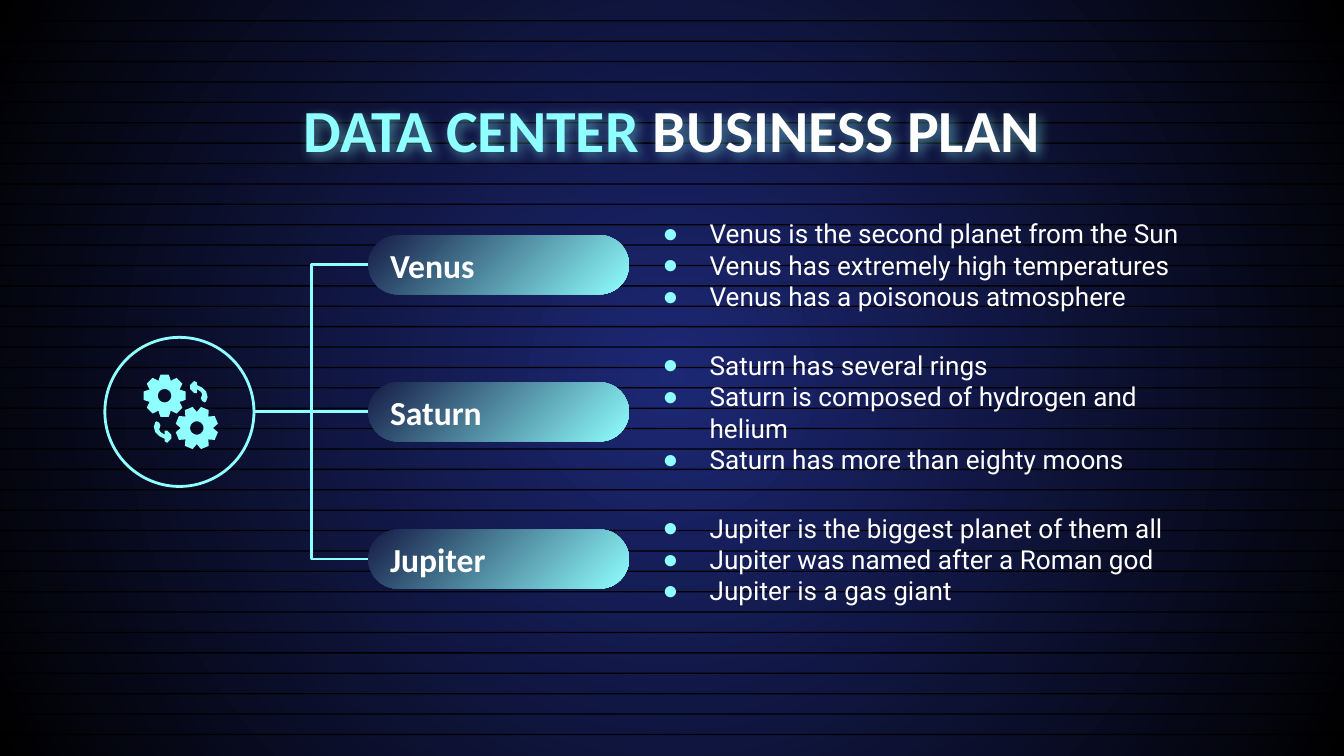
from math import cos, sin, radians
from lxml import etree
from pptx import Presentation, util as u
from pptx.dml.color import RGBColor
from pptx.enum import shapes as sh, text as tx
from pptx.oxml.ns import qn

W = 10
H = W * 9 / 16
AQUA, WHITE, BLACK = "8FFFFF", "FFFFFF", "000000"
INK = dict(name="Roboto", size=14, bold=False, color=WHITE)
HEAD = dict(name="Calibri", size=18, bold=True, color=WHITE)
ROWS = [
    ("Venus", ["Venus is the second planet from the Sun",
               "Venus has extremely high temperatures",
               "Venus has a poisonous atmosphere"]),
    ("Saturn", ["Saturn has several rings",
                "Saturn is composed of hydrogen and helium",
                "Saturn has more than eighty moons"]),
    ("Jupiter", ["Jupiter is the biggest planet of them all",
                 "Jupiter was named after a Roman god",
                 "Jupiter is a gas giant"]),
]
CURL = [(.1, -.23), (.07, -.2), (.07, -.17), (.1, -.14), (.12, -.14),
        (.12, -.17), (.15, -.15), (.16, -.13), (.15, -.1), (.16, -.08),
        (.18, -.07), (.19, -.08), (.2, -.11), (.19, -.15), (.16, -.18),
        (.12, -.2), (.12, -.22)]


def hue(code):
    return RGBColor.from_string(code)


def sub(node, tag, **vals):
    return etree.SubElement(node, qn(tag), {k: str(v) for k, v in vals.items()})


def place(shape, box):
    for key, val in zip(("left", "top", "width", "height"), box):
        setattr(shape, key, u.Inches(val))


def paint(shape, fill=None, line=None):
    shape.shadow.inherit = False
    if fill:
        shape.fill.solid()
        shape.fill.fore_color.rgb = hue(fill)
    else:
        shape.fill.background()
    if line:
        shape.line.color.rgb = hue(line)
        shape.line.width = u.Pt(1.5)
    else:
        shape.line.fill.background()


def blend(fill, codes, angle=0):
    fill.gradient()
    fill.gradient_angle = angle
    for stop, code in zip(fill.gradient_stops, codes):
        stop.color.rgb = hue(code)


def frame(shape, anchor):
    vals = dict(word_wrap=True, auto_size=tx.MSO_AUTO_SIZE.NONE,
                vertical_anchor=anchor)
    for side in ("left", "right", "top", "bottom"):
        vals["margin_" + side] = u.Inches(.1)
    for key, val in vals.items():
        setattr(shape.text_frame, key, val)
    return shape.text_frame


def write(para, words, style):
    run = para.add_run()
    run.text = words
    for key, val in style.items():
        if key == "color":
            run.font.color.rgb = hue(val)
        else:
            setattr(run.font, key, u.Pt(val) if key == "size" else val)


def add(slide, kind, box):
    return slide.shapes.add_shape(kind, *map(u.Inches, box))


def back(slide):
    blend(slide.background.fill, ("1D2875", BLACK))
    lin = slide.element.xpath(".//p:bg//a:lin")[0]
    ring = etree.Element(qn("a:path"), path="circle")
    sub(ring, "a:fillToRect", l=50000, t=50000, r=50000, b=50000)
    lin.getparent().replace(lin, ring)
    for i in range(36):
        bar = add(slide, sh.MSO_SHAPE.RECTANGLE,
                  (0, .15 + i * 5.31 / 35, W, .01))
        paint(bar, BLACK)
        slide.shapes.element.insert(2 + i, bar.element)


def title(shape, box):
    place(shape, box)
    para = frame(shape, tx.MSO_ANCHOR.TOP).paragraphs[0]
    para.alignment = tx.PP_ALIGN.CENTER
    for words, code in (("DATA CENTER ", AQUA), ("BUSINESS PLAN", WHITE)):
        write(para, words, {**HEAD, "size": 32, "color": code})
    glow = sub(sub(shape.element.spPr, "a:effectLst"), "a:outerShdw",
               blurRad=76200, dist=19050, dir=2700000, algn="bl", rotWithShape=0)
    sub(sub(glow, "a:srgbClr", val=AQUA), "a:alpha", val=45000)


def pill(slide, box, words):
    shape = add(slide, sh.MSO_SHAPE.ROUNDED_RECTANGLE, box)
    shape.adjustments[0] = .5
    paint(shape)
    blend(shape.fill, ("151B46", AQUA), 315)
    para = frame(shape, tx.MSO_ANCHOR.MIDDLE).paragraphs[0]
    para.alignment = tx.PP_ALIGN.LEFT
    write(para, words, HEAD)


def facts(shape, box, lines):
    place(shape, box)
    body = frame(shape, tx.MSO_ANCHOR.MIDDLE)
    for i, words in enumerate(lines):
        para = body.add_paragraph() if i else body.paragraphs[0]
        for key, val in dict(space_before=u.Pt(0), line_spacing=1.0,
                             alignment=tx.PP_ALIGN.LEFT).items():
            setattr(para, key, val)
        write(para, words, INK)
        prop = para._p.get_or_add_pPr()
        prop.set("marL", str(u.Inches(.5)))
        prop.set("indent", str(u.Inches(-.35)))
        sub(sub(prop, "a:buClr"), "a:srgbClr", val=AQUA)
        sub(prop, "a:buChar", char="●")


def trace(slide, *loops):
    pen = None
    for loop in loops:
        dots = [(u.Inches(x), u.Inches(y)) for x, y in loop]
        if pen:
            pen.move_to(*dots[0])
        else:
            pen = slide.shapes.build_freeform(*dots[0])
        pen.add_line_segments(dots[1:], close=True)
    paint(pen.convert_to_shape(), AQUA)


def gear(slide, x, y, turn):
    def spot(deg, r):
        return x + r * cos(radians(deg)), y + r * sin(radians(deg))

    tooth = [(-22.5, .12), (-16, .14), (-11, .16), (11, .16), (16, .14)]
    rim = [spot(turn + 45 * i + deg, r) for i in range(8) for deg, r in tooth]
    hole = [spot(-15 * i, .05) for i in range(24)]
    trace(slide, rim, hole)


def icon(slide, box):
    x, y, w, h = box
    paint(add(slide, sh.MSO_SHAPE.OVAL, box), line=AQUA)
    mx, my = x + w / 2 + .01, y + h / 2
    for sign, turn in ((-1, 0), (1, 22.5)):
        gear(slide, mx + sign * .12, my + sign * .12, turn)
        trace(slide, [(mx - sign * px, my - sign * py) for px, py in CURL])


def link(slide, *ends):
    line = slide.shapes.add_connector(sh.MSO_CONNECTOR.ELBOW, *map(u.Inches, ends))
    line.line.color.rgb = hue(AQUA)
    line.line.width = u.Pt(1.5)
    sub(line.element.spPr, "a:effectLst")


def tree(slide, box, slots):
    x, y, w, h = box
    mid, step = y + h / 2, (h - .9) / 2
    disc, left, wide = 1.11, x + 1.96, 1.94
    icon(slide, (x, mid - disc / 2, disc, disc))
    for i, (name, lines) in enumerate(ROWS):
        row = mid + (i - 1) * step
        link(slide, x + disc, mid, left, row)
        pill(slide, (left, row - .22, wide, .44), name)
        facts(slots[i], (left + wide, row - .45, w - 1.96 - wide, .9), lines)


def main():
    deck = Presentation()
    deck.slide_width, deck.slide_height = u.Inches(W), u.Inches(H)
    slide = deck.slides.add_slide(deck.slide_layouts[4])
    head, *slots = slide.placeholders
    spare = slots.pop().element
    spare.getparent().remove(spare)
    back(slide)
    title(head, (.78, .59, 8.44, .62))
    tree(slide, (.78, 1.52, 8.28, 3.09), slots)
    deck.save("out.pptx")


if __name__ == "__main__":
    main()
